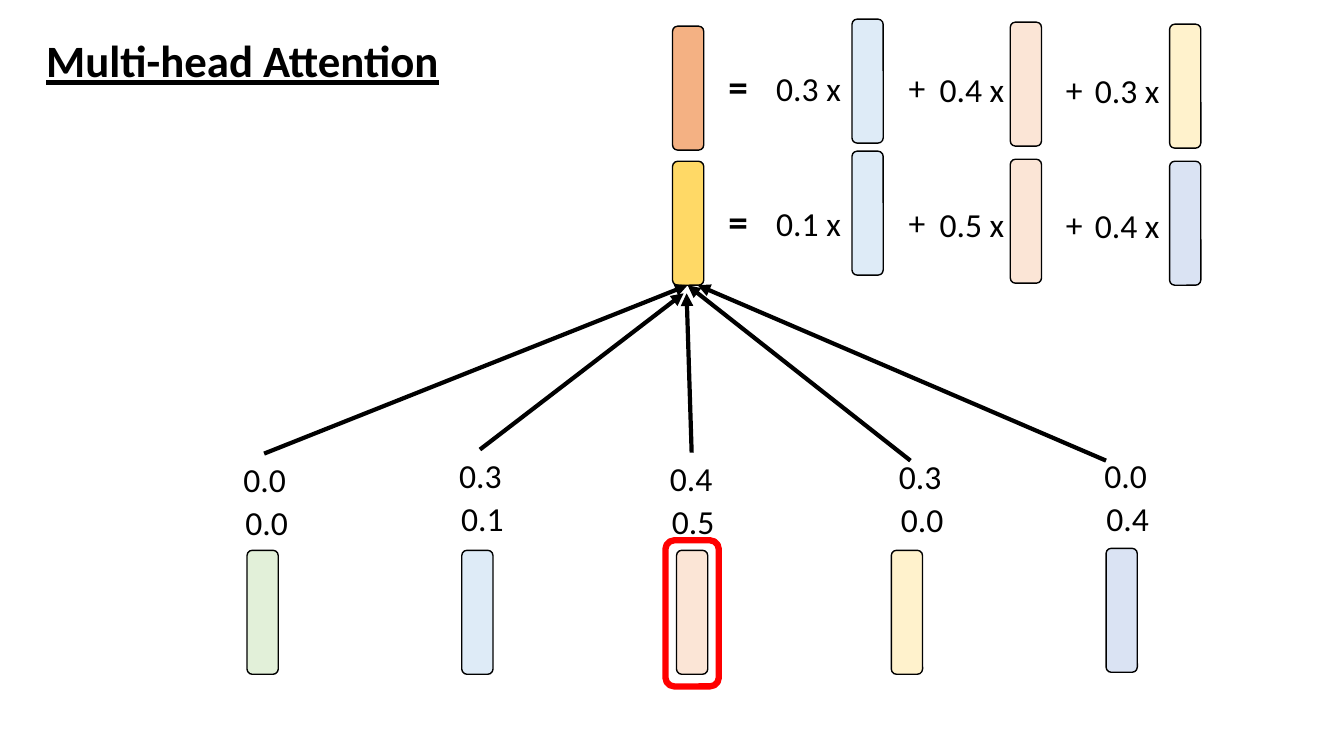
from lxml import etree
from pptx import Presentation
from pptx.dml.color import RGBColor
from pptx.enum.shapes import MSO_CONNECTOR, MSO_SHAPE
from pptx.enum.text import PP_ALIGN
from pptx.oxml.ns import qn
from pptx.util import Inches, Pt

ROUND = MSO_SHAPE.ROUNDED_RECTANGLE
STRAIGHT = MSO_CONNECTOR.STRAIGHT
LEFT, CENTER = PP_ALIGN.LEFT, PP_ALIGN.CENTER
FONT = "Calibri"
BAR_W, BAR_H = 0.31, 1.23
COLORS = {
    "black": "000000", "red": "FF0000", "green": "E2F0D9", "blue": "DEEBF7",
    "peach": "FBE5D6", "cream": "FFF2CC", "lilac": "DAE3F3",
    "orange": "F4B183", "gold": "FFD966",
}


def color(name):
    return RGBColor.from_string(COLORS[name])


def add_box(slide, x, y, w, h, fill=None, line="black", width=1):
    box = slide.shapes.add_shape(ROUND, Inches(x), Inches(y), Inches(w), Inches(h))
    box.shadow.inherit = False
    if fill:
        box.fill.solid()
        box.fill.fore_color.rgb = color(fill)
    else:
        box.fill.background()
    box.line.color.rgb = color(line)
    box.line.width = Pt(width)


def add_bar(slide, x, y, fill):
    add_box(slide, x, y, BAR_W, BAR_H, fill)


def add_text(slide, text, x, y, w, h=0.5, size=24, align=CENTER, bold=False, under=False):
    frame = slide.shapes.add_textbox(Inches(x), Inches(y), Inches(w), Inches(h)).text_frame
    frame.word_wrap = True
    frame.text = text
    para = frame.paragraphs[0]
    para.alignment = align
    font = para.runs[0].font
    font.name, font.size = FONT, Pt(size)
    font.bold, font.underline = bold, under
    font.color.rgb = color("black")


def add_arrow(slide, start, end):
    points = [Inches(v) for v in (*start, *end)]
    arrow = slide.shapes.add_connector(STRAIGHT, *points)
    arrow.line.color.rgb = color("black")
    arrow.line.width = Pt(3)
    props = arrow.line._get_or_add_ln()
    etree.SubElement(props, qn("a:tailEnd"), type="triangle")
    etree.SubElement(arrow._element.spPr, qn("a:effectLst"))


def draw_sum(slide, x, y, fill, terms):
    """One head: its output bar equals a weighted sum of value bars."""
    add_bar(slide, x, y, fill)
    add_text(slide, "=", x - 0.01, y + 0.31, 1.32, 0.57, 28, bold=True)
    for dx, dy in ((1.93, 0.35), (3.49, 0.37)):
        add_text(slide, "+", x + dx, y + dy, 0.99)
    spots = ((0.93, 0.36, 1.78), (2.55, 0.37, 3.35), (4.09, 0.38, 4.93))
    for (weight, shade, lift), (dx, dy, bar_dx) in zip(terms, spots):
        add_text(slide, f"{weight} x", x + dx, y + dy, 0.99, align=LEFT)
        add_bar(slide, x + bar_dx, y - lift, shade)


def draw_token(slide, x, y, fill, scores, label, start, end):
    """One input: its bar, a score per head and an arrow to the output."""
    add_bar(slide, x, y, fill)
    left, top = label
    for i, score in enumerate(scores):
        add_text(slide, score, left + 0.02 * i, top + 0.43 * i, 1.01)
    add_arrow(slide, start, end)


def main():
    prs = Presentation()
    prs.slide_width, prs.slide_height = Inches(13.33), Inches(7.5)
    slide = prs.slides.add_slide(prs.slide_layouts[6])

    # Title
    add_text(slide, "Multi-head Attention", 0.36, 0.28, 6.67, 0.64, 32, LEFT, True, True)

    # Weighted sums of the two heads: weight, colour, rise of the bar
    draw_sum(slide, 6.67, 0.26, "orange", [
        ("0.3", "blue", 0.07), ("0.4", "peach", 0.04), ("0.3", "cream", 0.02)])
    draw_sum(slide, 6.67, 1.6, "gold", [
        ("0.1", "blue", 0.1), ("0.5", "peach", 0.02), ("0.4", "lilac", 0)])

    # Inputs: bar top, colour, scores, label corner, arrow start and end
    tokens = [
        (5.46, "green", ("0.0", "0.0"), (2.12, 4.5), (2.62, 4.5), (6.82, 2.83)),
        (5.46, "blue", ("0.3", "0.1"), (4.26, 4.46), (4.76, 4.46), (6.78, 2.91)),
        (5.46, "peach", ("0.4", "0.5"), (6.35, 4.49), (6.86, 4.49), (6.81, 2.91)),
        (5.46, "cream", ("0.3", "0.0"), (8.62, 4.47), (9.03, 4.57), (6.82, 2.83)),
        (5.44, "lilac", ("0.0", "0.4"), (10.66, 4.46), (10.97, 4.57), (6.92, 2.83)),
    ]
    for i, token in enumerate(tokens):
        draw_token(slide, 2.45 + 2.13 * i, *token)

    # Frame around the current input
    add_box(slide, 6.6, 5.36, 0.53, 1.45, line="red", width=4.5)

    prs.save("out.pptx")


if __name__ == "__main__":
    main()
